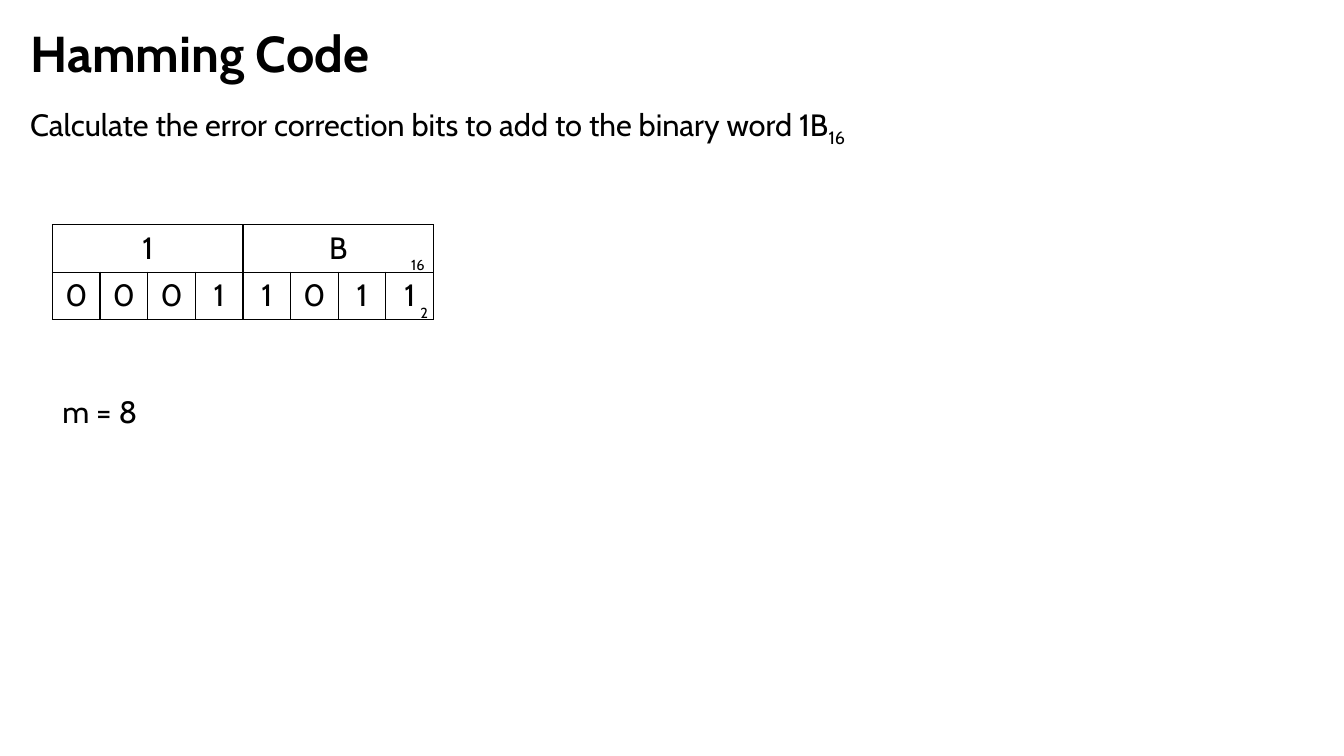
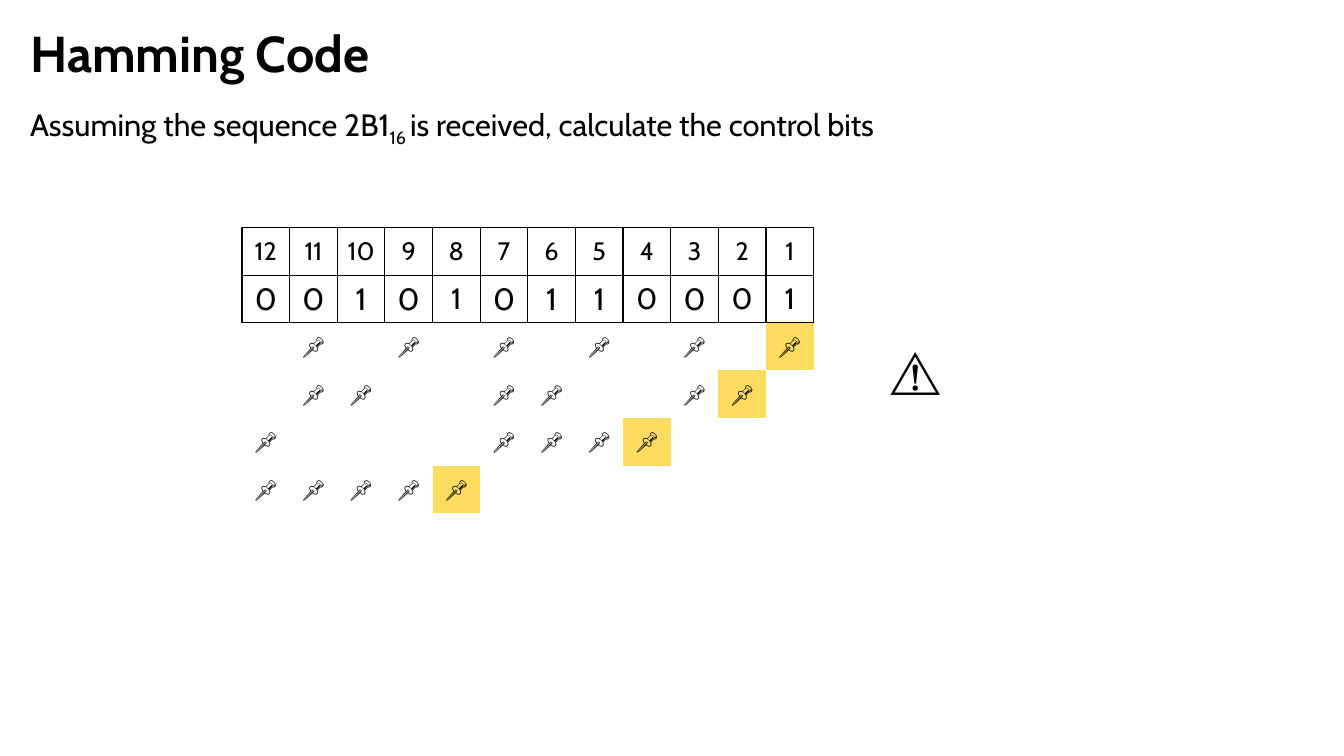
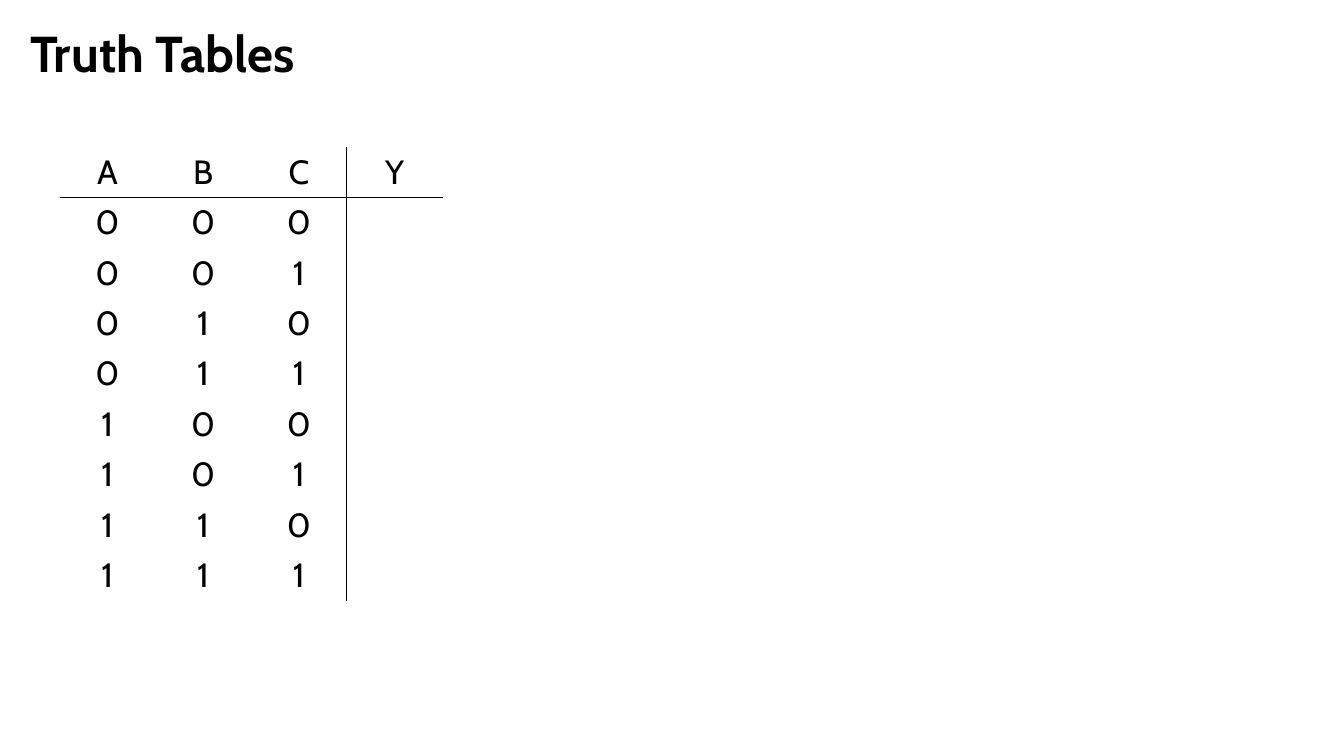
from itertools import product

from lxml.etree import SubElement
from pptx import Presentation
from pptx.dml.color import RGBColor
from pptx.enum.text import MSO_ANCHOR as Anchor, MSO_AUTO_SIZE as AutoSize, PP_ALIGN as Align
from pptx.oxml.ns import qn
from pptx.util import Inches, Pt

BLACK = RGBColor(0x00, 0x00, 0x00)
WHITE = RGBColor(0xFF, 0xFF, 0xFF)
YELLOW = RGBColor(0xFE, 0xDC, 0x5F)

FONT = "Cabin"
TITLE_SIZE, BODY_SIZE, TRUTH_SIZE = 36, 22, 24
POSITION_SIZE, CHECK_BIT_SIZE, PIN_SIZE = 18, 21, 16

SLIDE_WIDTH, SLIDE_HEIGHT = 13.33, 7.5
MARGIN = 0.2
CONTENT_WIDTH = SLIDE_WIDTH - 2 * MARGIN
ALL_SIDES = "LRTB"
TITLE_ONLY = 5


def style(paragraph, size, bold=False, align=Align.LEFT):
    paragraph.alignment = align
    font = paragraph.font
    font.name, font.size, font.bold = FONT, Pt(size), bold
    font.color.rgb = BLACK


def add_titled_slide(prs, title):
    slide = prs.slides.add_slide(prs.slide_layouts[TITLE_ONLY])
    heading = slide.shapes.title
    heading.left, heading.top = Inches(MARGIN), Inches(0.17)
    heading.width, heading.height = Inches(CONTENT_WIDTH), Inches(0.71)
    frame = heading.text_frame
    frame.text = title
    frame.vertical_anchor = Anchor.TOP
    frame.auto_size = AutoSize.NONE
    style(frame.paragraphs[0], TITLE_SIZE, bold=True)
    return slide


def add_text(slide, left, top, parts, size=BODY_SIZE):
    """Add one line of text; parts are (text, is_subscript) pairs."""
    width = SLIDE_WIDTH - MARGIN - left
    box = slide.shapes.add_textbox(
        Inches(left), Inches(top), Inches(width), Inches(size * 0.0167 + 0.1))
    box.text_frame.word_wrap = True
    line = box.text_frame.paragraphs[0]
    style(line, size)
    for text, is_subscript in parts:
        run = line.add_run()
        run.text = text
        if is_subscript:
            run.font._element.set("baseline", "-25000")


def add_question(slide, parts):
    add_text(slide, MARGIN, 1, parts)


def add_grid(slide, left, top, width, height, rows, columns):
    """Add an evenly divided table without header or banding."""
    table = slide.shapes.add_table(
        rows, columns, Inches(left), Inches(top), Inches(width), Inches(height)).table
    table.first_row = table.horz_banding = False
    return table


def set_borders(cell, sides):
    properties = cell._tc.get_or_add_tcPr()
    for side in ALL_SIDES:
        line = SubElement(properties, qn(f"a:ln{side}"), w=str(Pt(1)))
        if side in sides:
            fill = SubElement(line, qn("a:solidFill"))
            SubElement(fill, qn("a:srgbClr"), val=str(BLACK))
        else:
            SubElement(line, qn("a:noFill"))


def fill_cell(cell, text, size, sides=ALL_SIDES, color=WHITE):
    set_borders(cell, sides)
    cell.fill.solid()
    cell.fill.fore_color.rgb = color
    cell.margin_left = cell.margin_right = cell.margin_top = cell.margin_bottom = 0
    cell.vertical_anchor = Anchor.MIDDLE
    cell.text = text
    style(cell.text_frame.paragraphs[0], size, align=Align.CENTER)


def add_hex_table(slide, left, top, digits):
    """Show each hexadecimal digit above its four bits."""
    bits = "".join(format(int(digit, 16), "04b") for digit in digits)
    table = add_grid(slide, left, top, 3.78, 0.94, 2, len(bits))
    for column, bit in enumerate(bits):
        digit = "" if column % 4 else digits[column // 4]
        fill_cell(table.cell(0, column), digit, BODY_SIZE)
        fill_cell(table.cell(1, column), bit, BODY_SIZE)
    for start in range(0, len(bits), 4):
        table.cell(0, start).merge(table.cell(0, start + 3))


def add_parity_table(slide, left, top, bits):
    """Number the received bits and pin those that each check bit covers."""
    checks = (1, 2, 4, 8)
    table = add_grid(slide, left, top, 5.67, 2.83, 2 + len(checks), len(bits))
    for column, bit in enumerate(bits):
        position = len(bits) - column
        bit_size = CHECK_BIT_SIZE if position in checks else BODY_SIZE
        fill_cell(table.cell(0, column), str(position), POSITION_SIZE)
        fill_cell(table.cell(1, column), bit, bit_size)
        for row, check in enumerate(checks, start=2):
            fill_cell(table.cell(row, column),
                      "📌" if position & check else "", PIN_SIZE,
                      sides="T" if row == 2 else "",
                      color=YELLOW if position == check else WHITE)


def add_truth_table(slide, left, top, inputs, output):
    rows = [(*inputs, output)]
    rows += [(*values, "") for values in product("01", repeat=len(inputs))]
    table = add_grid(slide, left, top, 3.8, 4.5, len(rows), len(rows[0]))
    row_sides = {0: "B", 1: "T"}
    column_sides = {len(inputs) - 1: "R", len(inputs): "L"}
    for row, values in enumerate(rows):
        for column, value in enumerate(values):
            sides = row_sides.get(row, "") + column_sides.get(column, "")
            fill_cell(table.cell(row, column), value, TRUTH_SIZE, sides)


def build_encoding_slide(prs):
    slide = add_titled_slide(prs, "Hamming Code")
    add_question(slide, [
        ("Calculate the error correction bits to add to the binary word 1B", False),
        ("16", True)])
    add_hex_table(slide, 0.52, 2.23, "1B")
    add_text(slide, 3.98, 2.32, [("16", True)], size=18)
    add_text(slide, 4.07, 2.8, [("2", True)], size=18)
    add_text(slide, 0.52, 3.85, [("m = 8", False)])


def build_checking_slide(prs):
    slide = add_titled_slide(prs, "Hamming Code")
    add_question(slide, [
        ("Assuming the sequence 2B1", False),
        ("16 ", True),
        ("is received, calculate the control bits", False)])
    add_parity_table(slide, 2.4, 2.26, format(0x2B1, "012b"))
    add_text(slide, 8.73, 3.32, [("⚠️", False)], size=36)


def build_truth_table_slide(prs):
    slide = add_titled_slide(prs, "Truth Tables")
    add_truth_table(slide, 0.59, 1.46, "ABC", "Y")


def main():
    prs = Presentation()
    prs.slide_width, prs.slide_height = Inches(SLIDE_WIDTH), Inches(SLIDE_HEIGHT)
    build_encoding_slide(prs)
    build_checking_slide(prs)
    build_truth_table_slide(prs)
    prs.save("out.pptx")


if __name__ == "__main__":
    main()
